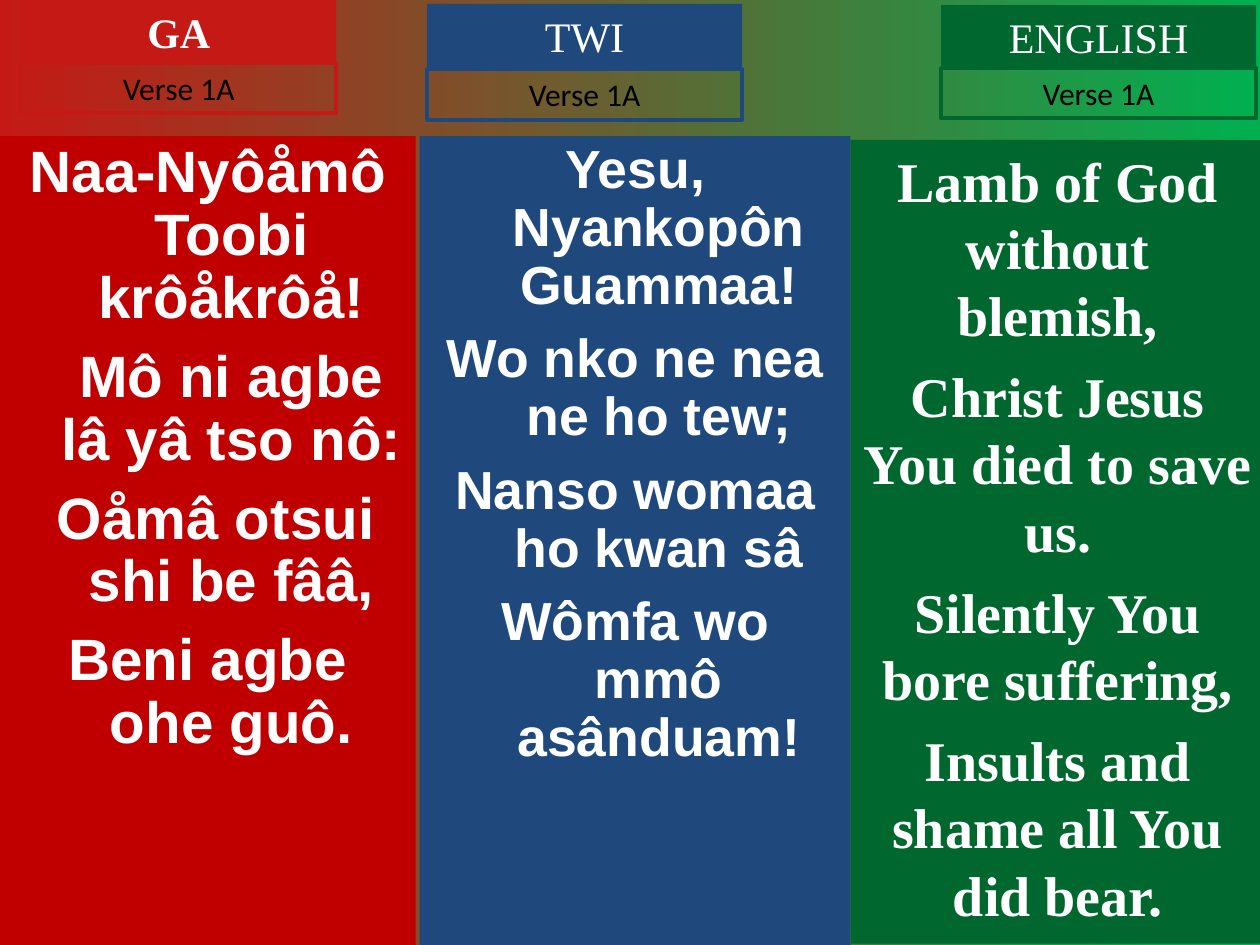
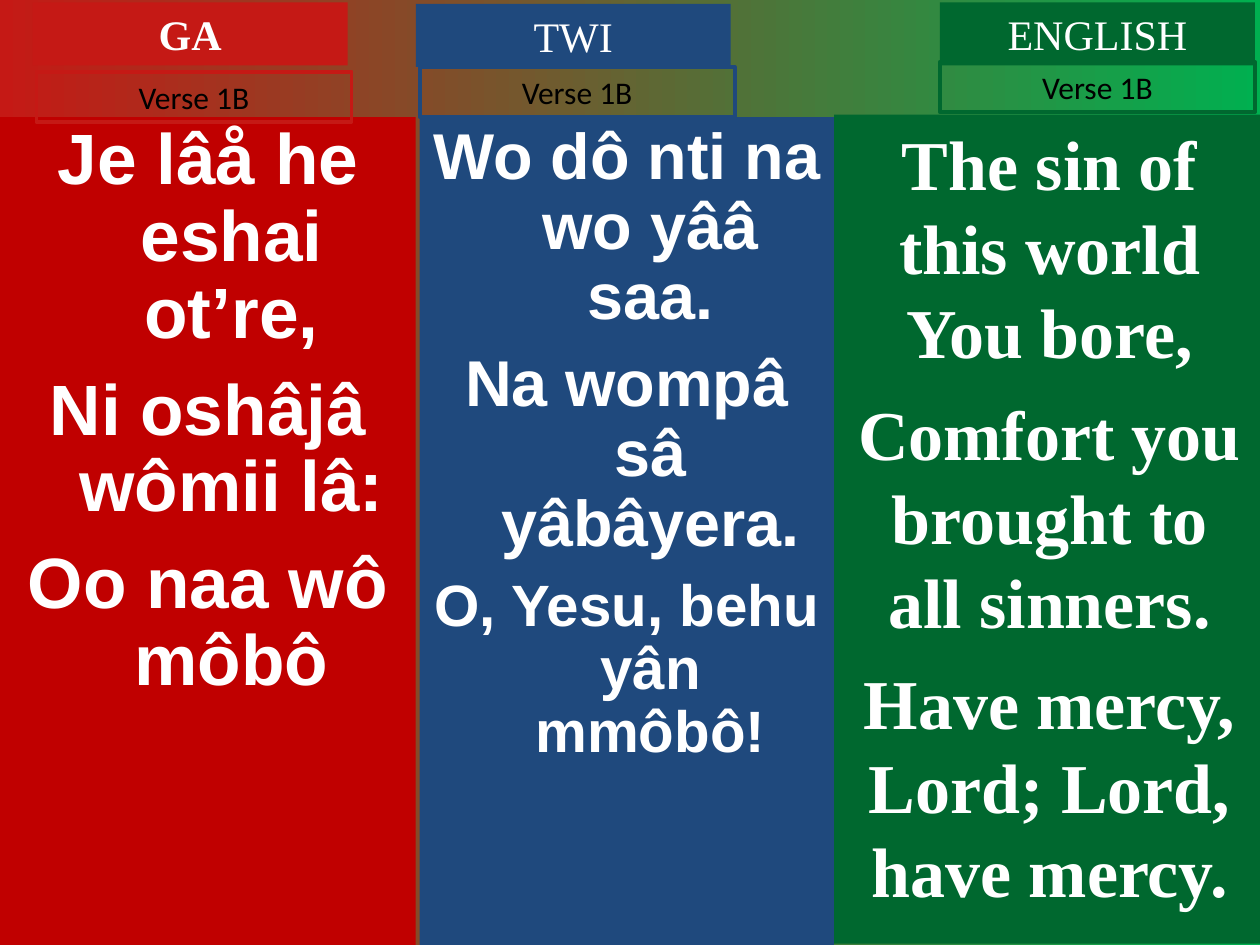
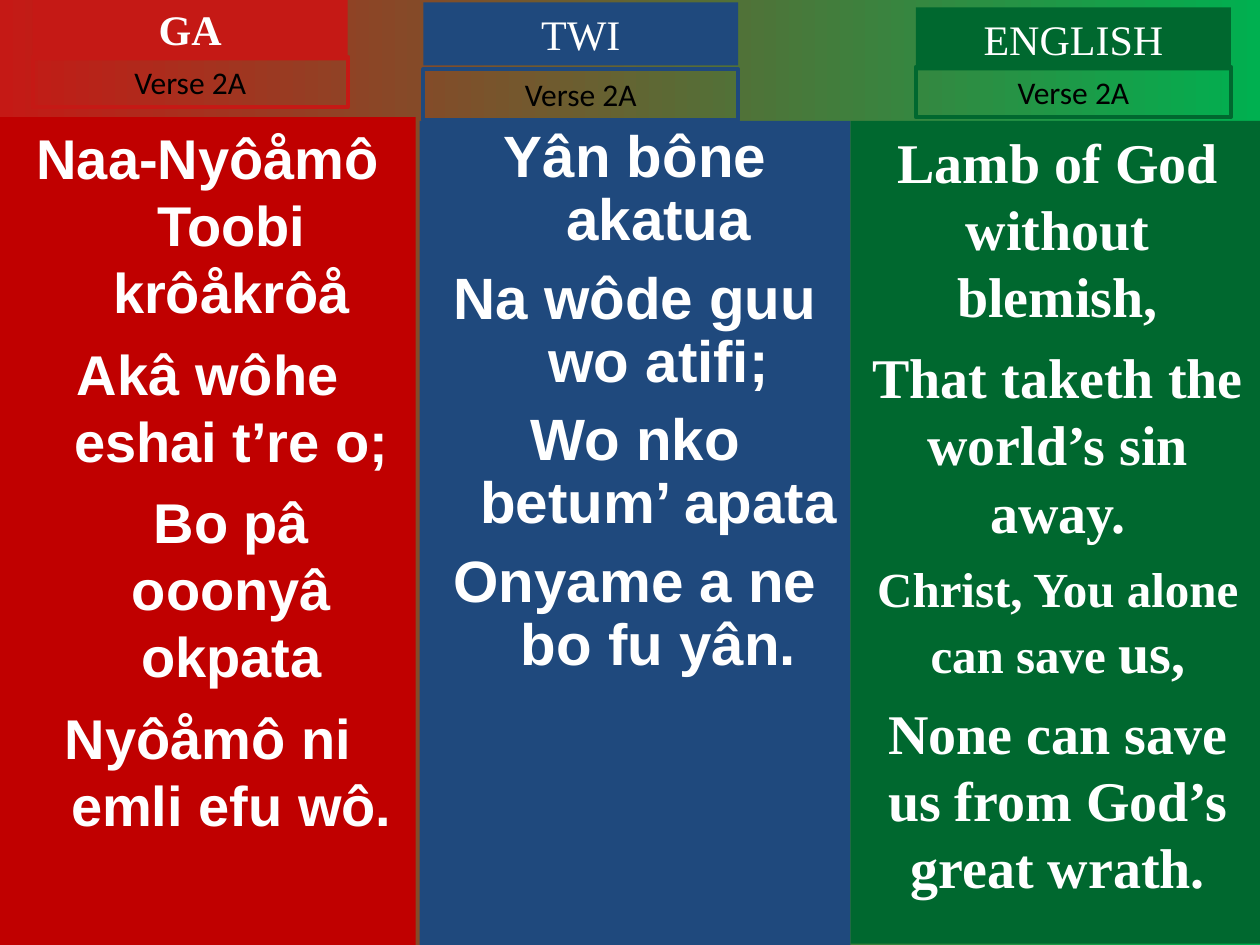
from dataclasses import dataclass

from pptx import Presentation
from pptx.dml.color import RGBColor as RGB
from pptx.enum.shapes import MSO_SHAPE as SHAPE
from pptx.enum.text import MSO_ANCHOR as ANCHOR, PP_ALIGN as ALIGN
from pptx.util import Pt

COLORS = {
    "ga": "C51915", "ga_body": "C00000",
    "twi": "1F497D", "twi_body": "1F497D",
    "english": "00682F", "english_body": "00682F",
    "bg_left": "C51915", "bg_right": "00B050",
    "white": "FFFFFF", "black": "000000",
}
LANGUAGES = ("ga", "twi", "english")
SANS, SERIF, LABEL_FONT = "Arial", "Times New Roman", "Calibri"

# Shared layout, in points
SLIDE_W, SLIDE_H = 720, 540
GA_RIGHT, TWI_LEFT, ENGLISH_RIGHT = 237.6, 239.8, 722.9
ENGLISH_BOTTOM = 539.2
TAB_W, TITLE_H, LABEL_H = 180, 36, 28.8
HANG = 27


@dataclass
class Line:
    """A sung line; phrases are (text, size) runs, first is the first-line indent."""
    phrases: list
    before: float
    spacing: float = None
    hang: float = 0
    first: float = 0


@dataclass
class Verse:
    name: str
    split: float    # edge between the Twi and English columns
    tops: tuple     # body tops, one per language
    titles: tuple   # (left, top) of each language title
    labels: tuple   # (left, top) of each verse label
    lyrics: tuple   # lines, one list per language


def sung(texts, size, before, spacing=None, hang=0, indents=None):
    """Lines of one size; indents overrides the first-line indent by index."""
    indents = indents or {}
    return [Line([(t, size)], before, spacing, hang, indents.get(i, -hang))
            for i, t in enumerate(texts)]


def african(texts, size, before, spacing=0.9, indents=None):
    return sung(texts, size, before, spacing, HANG, indents)


VERSES = [
    Verse(
        "Verse 1A", 486, (77.8, 77.8, 79.9),
        ((12.2, 0), (244.1, 2.2), (537.8, 2.9)),
        ((12.2, 36), (244.1, 39.6), (537.8, 38.9)),
        (african(["Naa-Nyôåmô Toobi krôåkrôå!", "Mô ni agbe lâ yâ tso nô:",
                  "Oåmâ otsui shi be fââ,", "Beni agbe ohe guô."],
                 33.3, 9, indents={1: 0, 2: -18}),
         african(["Yesu, Nyankopôn Guammaa!", "Wo nko ne nea ne ho tew;",
                  "Nanso womaa ho kwan sâ", "Wômfa wo mmô asânduam!"],
                 30.6, 9),
         sung(["Lamb of God without blemish,",
               "Christ Jesus You died to save us.",
               "Silently You bore suffering,",
               "Insults and shame all You did bear."], 32, 8)),
    ),
    Verse(
        "Verse 1B", 476.6, (67, 67, 65.5),
        ((18.7, 1.4), (237.6, 2.2), (537.1, 1.4)),
        ((20.9, 41), (239.8, 38.2), (537.1, 35.3)),
        (african(["Je lâå he eshai ot’re,", "Ni oshâjâ wômii lâ:",
                  "Oo naa wô môbô"], 40.7, 11),
         african(["Wo dô nti na wo yââ saa.", "Na wompâ sâ yâbâyera."], 37, 10)
         + african(["O, Yesu, behu yân mmôbô!"], 33.3, 9),
         sung(["The sin of this world You bore,",
               "Comfort you brought to all sinners.",
               "Have mercy, Lord; Lord, have mercy."], 40, 10)),
    ),
    Verse(
        "Verse 2A", 486, (67, 69.1, 69.1),
        ((18.7, -1.4), (241.9, 1.4), (523.4, 4.3)),
        ((18.7, 32.4), (241.9, 39.6), (523.4, 38.2)),
        (african(["Naa-Nyôåmô Toobi krôåkrôå", "Akâ wôhe eshai t’re o;",
                  "Bo pâ ooonyâ okpata", "Nyôåmô ni emli efu wô."],
                 32, 8, spacing=None, indents={2: 0}),
         african(["Yân bône akatua", "Na wôde guu wo atifi;",
                  "Wo nko betum’ apata", "Onyame a ne bo fu yân."], 33.3, 9),
         sung(["Lamb of God without blemish,",
               "That taketh the world’s sin away."], 32, 8)
         + [Line([("Christ, You alone can save ", 28), ("us,", 32)], 8)]
         + sung(["None can save us from God’s great wrath."], 32, 8)),
    ),
]


def rgb(name):
    return RGB.from_string(COLORS[name])


def add_box(s, x, y, w, h, fill=None, line=None):
    """Rectangle with a plain fill or a plain outline."""
    sp = s.shapes.add_shape(SHAPE.RECTANGLE, Pt(x), Pt(y), Pt(w), Pt(h))
    sp.shadow.inherit = False
    if fill:
        sp.fill.solid()
        sp.fill.fore_color.rgb = rgb(fill)
    else:
        sp.fill.background()
    if line:
        sp.line.color.rgb = rgb(line)
        sp.line.width = Pt(2.25)
    else:
        sp.line.fill.background()
    sp.text_frame.word_wrap = True
    sp.text_frame.vertical_anchor = ANCHOR.TOP
    return sp


def add_text(p, text, size, font, color="white", bold=False):
    """Add a centred run with its format."""
    p.alignment = ALIGN.CENTER
    r = p.add_run()
    r.text = text
    r.font.size = Pt(size)
    r.font.name = font
    r.font.bold = bold
    r.font.color.rgb = rgb(color)


def add_lyrics(sp, lines, font):
    tf = sp.text_frame
    for i, line in enumerate(lines):
        p = tf.paragraphs[0] if i == 0 else tf.add_paragraph()
        if i:
            p.space_before = Pt(line.before)
        if line.spacing:
            p.line_spacing = line.spacing
        if line.hang:
            pPr = p._p.get_or_add_pPr()
            pPr.set("marL", str(Pt(line.hang)))
            pPr.set("indent", str(Pt(line.first)))
        for text, size in line.phrases:
            add_text(p, text, size, font, bold=True)


def add_background(s):
    fill = s.background.fill
    fill.gradient()
    fill.gradient_angle = 0
    for stop, (position, color) in zip(
            fill.gradient_stops, ((0, "bg_left"), (1, "bg_right"))):
        stop.position = position
        stop.color.rgb = rgb(color)


def add_verse(prs, verse):
    s = prs.slides.add_slide(prs.slide_layouts[6])
    add_background(s)

    # Lyric columns
    edges = ((0, GA_RIGHT), (TWI_LEFT, verse.split),
             (verse.split, ENGLISH_RIGHT))
    bottoms = (SLIDE_H, SLIDE_H, ENGLISH_BOTTOM)
    for lang, (left, right), top, bottom, lines in zip(
            LANGUAGES, edges, verse.tops, bottoms, verse.lyrics):
        sp = add_box(s, left, top, right - left, bottom - top, f"{lang}_body")
        add_lyrics(sp, lines, SERIF if lang == "english" else SANS)

    # Language titles and verse labels
    for lang, title, label in zip(LANGUAGES, verse.titles, verse.labels):
        sp = add_box(s, *title, TAB_W, TITLE_H, fill=lang)
        add_text(sp.text_frame.paragraphs[0], lang.upper(), 24, SERIF,
                 bold=lang == "ga")
        sp = add_box(s, *label, TAB_W, LABEL_H, line=lang)
        add_text(sp.text_frame.paragraphs[0], verse.name, 18, LABEL_FONT,
                 color="black")


def main():
    prs = Presentation()
    prs.slide_width, prs.slide_height = Pt(SLIDE_W), Pt(SLIDE_H)
    for verse in VERSES:
        add_verse(prs, verse)
    prs.save("out.pptx")


if __name__ == "__main__":
    main()
